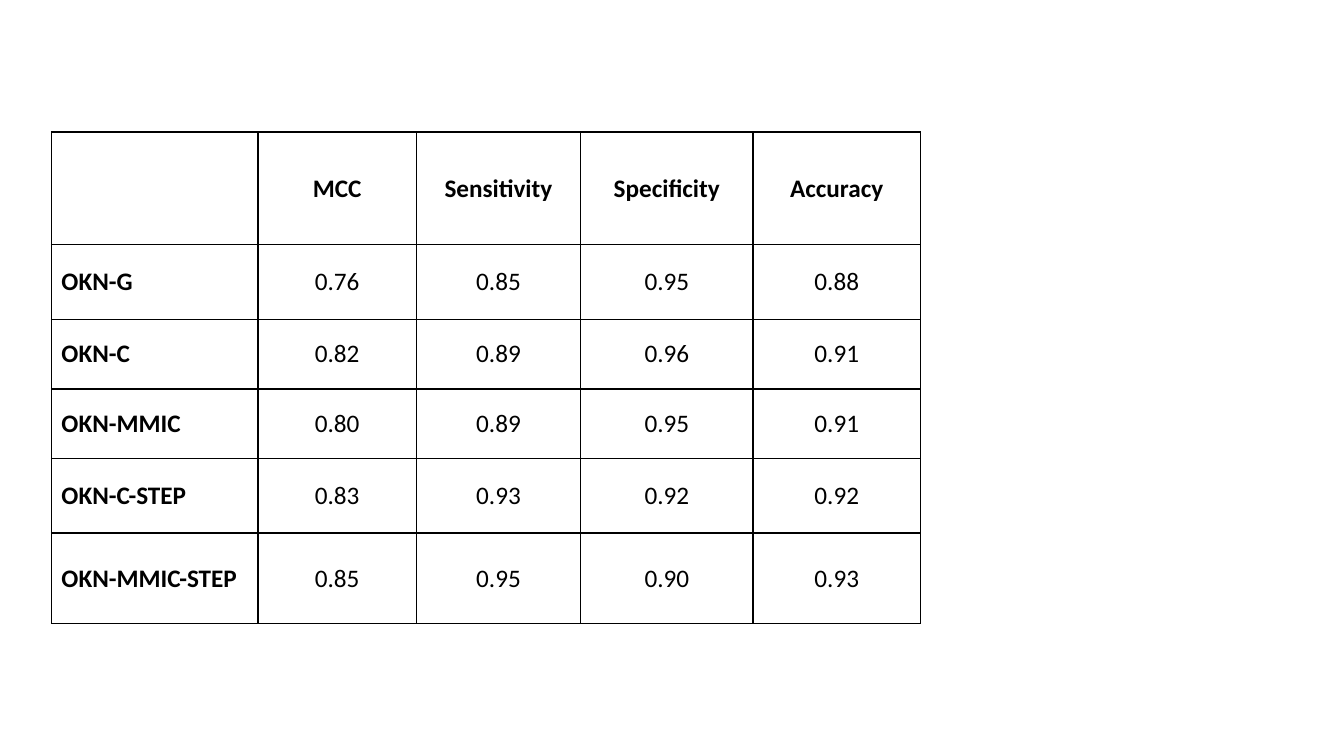
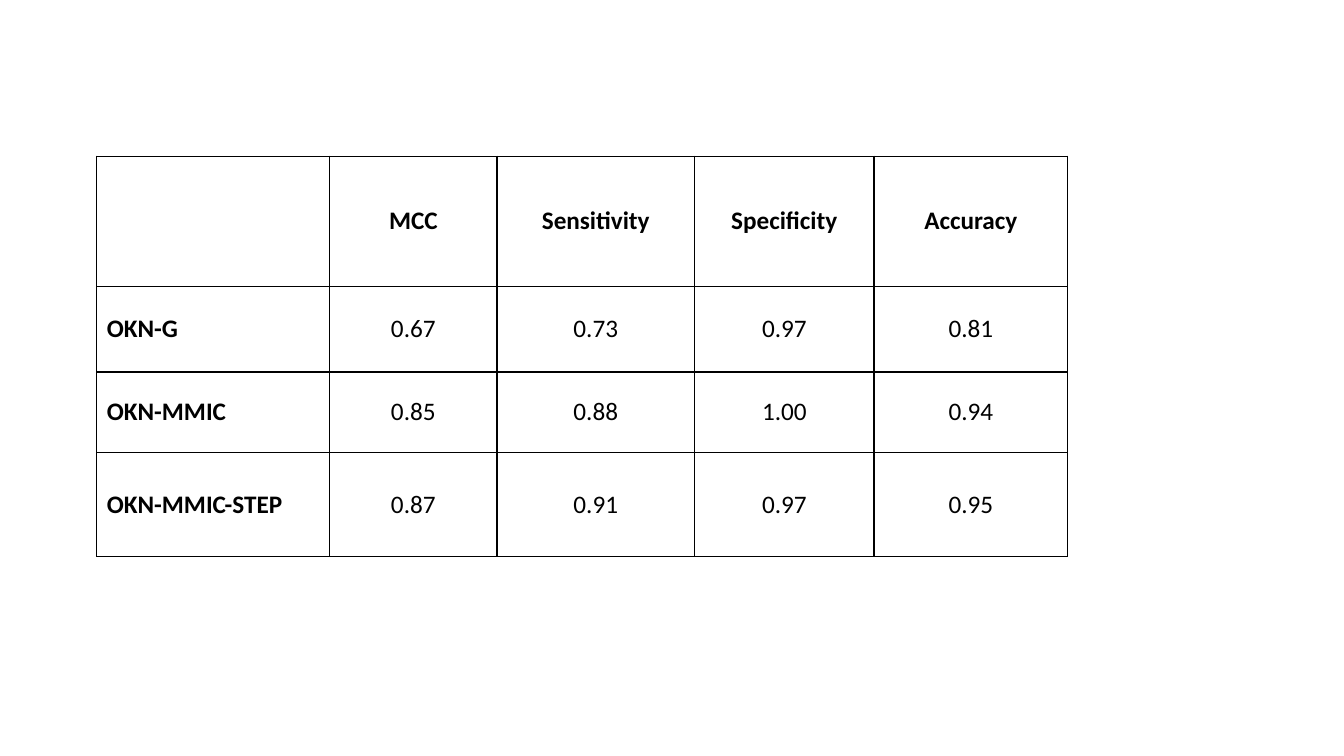
from dataclasses import dataclass

import pptx
import pptx.dml.color
import pptx.enum.text
import pptx.oxml.ns
import pptx.oxml.xmlchemy
import pptx.presentation
import pptx.table
import pptx.util
from lxml import etree
from pptx.util import Inches

# Shared look
FONT = "Calibri"
TEXT_SIZE = 18
BLACK = "000000"
BORDER_WIDTH = 1
METRICS = ("MCC", "Sensitivity", "Specificity", "Accuracy")


@dataclass(frozen=True)
class ModelScores:
    model: str
    scores: tuple[str, ...]
    height: float


@dataclass(frozen=True)
class ScoreTable:
    left: float
    top: float
    column_widths: tuple[float, ...]
    header_height: float
    models: tuple[ModelScores, ...]


# Content of each slide
SCORE_TABLES = (
    ScoreTable(0.51, 1.31, (2.05, 1.57, 1.63, 1.71, 1.66), 1.12, (
        ModelScores("OKN-G", ("0.76", "0.85", "0.95", "0.88"), 0.74),
        ModelScores("OKN-C", ("0.82", "0.89", "0.96", "0.91"), 0.69),
        ModelScores("OKN-MMIC", ("0.80", "0.89", "0.95", "0.91"), 0.69),
        ModelScores("OKN-C-STEP", ("0.83", "0.93", "0.92", "0.92"), 0.74),
        ModelScores("OKN-MMIC-STEP", ("0.85", "0.95", "0.90", "0.93"), 0.9),
    )),
    ScoreTable(0.96, 1.55, (2.31, 1.66, 1.96, 1.78, 1.92), 1.29, (
        ModelScores("OKN-G", ("0.67", "0.73", "0.97", "0.81"), 0.85),
        ModelScores("OKN-MMIC", ("0.85", "0.88", "1.00", "0.94"), 0.8),
        ModelScores("OKN-MMIC-STEP", ("0.87", "0.91", "0.97", "0.95"), 1.03),
    )),
)


def color(hex_code: str) -> pptx.dml.color.RGBColor:
    return pptx.dml.color.RGBColor.from_string(hex_code)


def add_borders(cell: pptx.table._Cell) -> None:
    """Draw a solid line on all four sides of a cell."""
    qn = pptx.oxml.ns.qn
    properties = cell._tc.get_or_add_tcPr()
    for side in ("lnL", "lnR", "lnT", "lnB"):
        line = etree.SubElement(properties, qn(f"a:{side}"),
                                w=str(pptx.util.Pt(BORDER_WIDTH)))
        fill = etree.SubElement(line, qn("a:solidFill"))
        etree.SubElement(fill, qn("a:srgbClr"), val=BLACK)


def write_cell(cell: pptx.table._Cell, text: str, bold: bool, centered: bool) -> None:
    add_borders(cell)
    cell.fill.background()
    cell.vertical_anchor = pptx.enum.text.MSO_ANCHOR.MIDDLE
    if not text:
        return
    paragraph = cell.text_frame.paragraphs[0]
    align = pptx.enum.text.PP_ALIGN
    paragraph.alignment = align.CENTER if centered else align.LEFT
    run = paragraph.add_run()
    run.text = text
    run.font.name = FONT
    run.font.size = pptx.util.Pt(TEXT_SIZE)
    run.font.bold = bold
    run.font.color.rgb = color(BLACK)


def add_score_slide(deck: pptx.presentation.Presentation, scores: ScoreTable) -> None:
    slide = deck.slides.add_slide(deck.slide_layouts[6])
    rows = [("", *METRICS)] + [(m.model, *m.scores) for m in scores.models]
    heights = [scores.header_height] + [m.height for m in scores.models]
    table = slide.shapes.add_table(
        len(rows), len(scores.column_widths),
        Inches(scores.left), Inches(scores.top),
        Inches(sum(scores.column_widths)), Inches(sum(heights)),
    ).table
    table.first_row = False
    table.horz_banding = False

    # Column and row sizes
    for column, width in zip(table.columns, scores.column_widths):
        column.width = Inches(width)
    for row, height in zip(table.rows, heights):
        row.height = Inches(height)

    # Metric headings and model names are bold
    for r, texts in enumerate(rows):
        for c, text in enumerate(texts):
            write_cell(table.cell(r, c), text, bold=r == 0 or c == 0, centered=c > 0)


def main() -> None:
    deck = pptx.Presentation()
    deck.slide_width = Inches(13.33)
    deck.slide_height = Inches(7.5)
    for scores in SCORE_TABLES:
        add_score_slide(deck, scores)
    deck.save("out.pptx")


if __name__ == "__main__":
    main()
